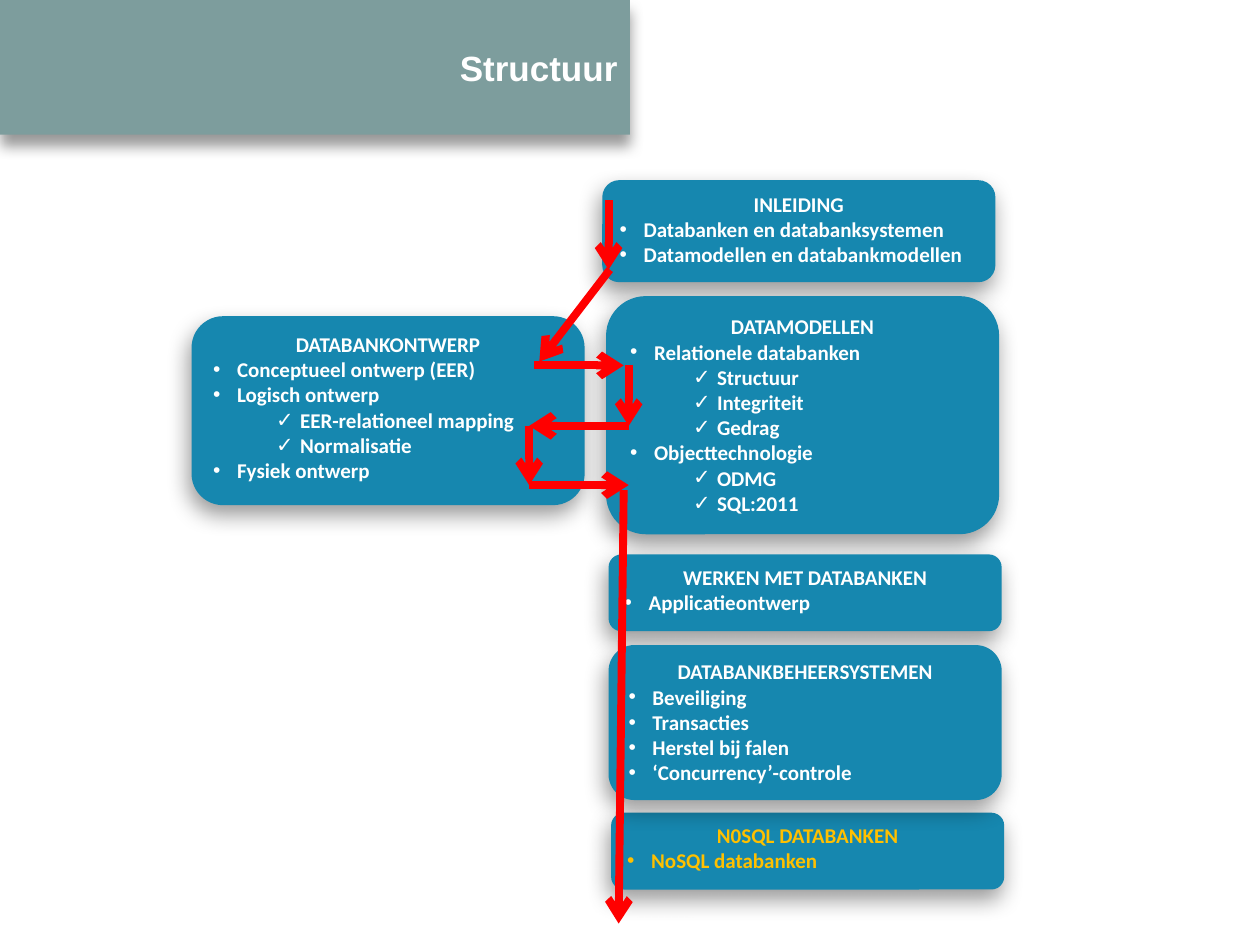
import pptx
import pptx.dml.color
import pptx.enum.shapes
import pptx.enum.text
import pptx.oxml.ns
import pptx.util
from lxml import etree

Inches = pptx.util.Inches
Pt = pptx.util.Pt
qn = pptx.oxml.ns.qn
MSO_SHAPE = pptx.enum.shapes.MSO_SHAPE
ALIGN = pptx.enum.text.PP_ALIGN
ANCHOR = pptx.enum.text.MSO_ANCHOR

COLORS = {
    "banner": "7D9D9D",
    "topic": "1687AF",
    "text": "FFFFFF",
    "current": "FFC000",
    "route": "FF0000",
    "shadow": "000000",
}
BULLETS = ("•", "✓")
TOPIC_WIDTH = 3.12

# Each topic: left, top, height, colour, heading, items as (level, text)
TOPICS = [
    (4.85, 6.45, 0.61, "current", "N0SQL DATABANKEN", [(0, "NoSQL databanken")]),
    (4.78, 1.43, 0.81, "text", "INLEIDING", [
        (0, "Databanken en databanksystemen"),
        (0, "Datamodellen en databankmodellen"),
    ]),
    (1.52, 2.51, 1.5, "text", "DATABANKONTWERP", [
        (0, "Conceptueel ontwerp (EER)"),
        (0, "Logisch ontwerp"),
        (1, "EER-relationeel mapping"),
        (1, "Normalisatie"),
        (0, "Fysiek ontwerp"),
    ]),
    (4.81, 2.35, 1.89, "text", "DATAMODELLEN", [
        (0, "Relationele databanken"),
        (1, "Structuur"),
        (1, "Integriteit"),
        (1, "Gedrag"),
        (0, "Objecttechnologie"),
        (1, "ODMG"),
        (1, "SQL:2011"),
    ]),
    (4.83, 4.4, 0.61, "text", "WERKEN MET DATABANKEN", [(0, "Applicatieontwerp")]),
    (4.83, 5.12, 1.23, "text", "DATABANKBEHEERSYSTEMEN", [
        (0, "Beveiliging"),
        (0, "Transacties"),
        (0, "Herstel bij falen"),
        (0, "‘Concurrency’-controle"),
    ]),
]

# Each arrow: start point, end point
ROUTE = [
    ((4.84, 2.14), (4.28, 2.87)),
    ((4.24, 2.9), (4.95, 2.9)),
    ((4.99, 3.38), (4.2, 3.38)),
    ((4.2, 3.85), (4.99, 3.85)),
    ((4.99, 2.9), (4.99, 3.38)),
    ((4.2, 3.38), (4.2, 3.85)),
    ((4.95, 3.89), (4.91, 7.33)),
    ((4.83, 1.59), (4.83, 2.14)),
]


def rgb(name):
    return pptx.dml.color.RGBColor.from_string(COLORS[name])


def add_shadow(shape, blur, distance, angle):
    shape.shadow.inherit = False
    effects = shape._element.spPr.find(qn("a:effectLst"))
    shadow = etree.SubElement(
        effects, qn("a:outerShdw"), blurRad=str(Pt(blur)), dist=str(Pt(distance)),
        dir=str(angle * 60000), algn="ctr", rotWithShape="0")
    color = etree.SubElement(shadow, qn("a:srgbClr"), val=COLORS["shadow"])
    etree.SubElement(color, qn("a:alpha"), val="40000")


def add_panel(slide, kind, box, fill, anchor):
    """Add a filled, borderless shape that holds wrapped text."""
    panel = slide.shapes.add_shape(kind, *map(Inches, box))
    panel.fill.solid()
    panel.fill.fore_color.rgb = rgb(fill)
    panel.line.fill.background()
    panel.text_frame.word_wrap = True
    panel.text_frame.vertical_anchor = anchor
    return panel


def write(paragraph, text, size=12, font="Calibri", color="text",
          align=ALIGN.LEFT, level=None):
    """Fill a paragraph; a level makes it a bulleted item."""
    paragraph.alignment = align
    if level is not None:
        paragraph.level = level
        properties = paragraph._p.get_or_add_pPr()
        properties.set("marL", str(Inches(0.19 + 0.5 * level)))
        properties.set("indent", str(Inches(-0.19)))
        etree.SubElement(properties, qn("a:buFont"), typeface="Arial")
        etree.SubElement(properties, qn("a:buChar"), char=BULLETS[level])
    run = paragraph.add_run()
    run.text = text
    run.font.size = Pt(size)
    run.font.name = font
    run.font.bold = True
    run.font.color.rgb = rgb(color)


def add_title(slide, box, text):
    banner = add_panel(slide, MSO_SHAPE.RECTANGLE, box, "banner", ANCHOR.MIDDLE)
    add_shadow(banner, blur=8, distance=6, angle=90)
    write(banner.text_frame.paragraphs[0], text, size=20, font="Arial",
          align=ALIGN.RIGHT)


def add_topic(slide, box, color, heading, items):
    topic = add_panel(slide, MSO_SHAPE.ROUNDED_RECTANGLE, box, "topic", ANCHOR.TOP)
    add_shadow(topic, blur=13, distance=6, angle=106)
    frame = topic.text_frame
    write(frame.paragraphs[0], heading, color=color, align=ALIGN.CENTER)
    for level, item in items:
        write(frame.add_paragraph(), item, color=color, level=level)


def add_arrow(slide, start, end):
    arrow = slide.shapes.add_connector(
        pptx.enum.shapes.MSO_CONNECTOR.STRAIGHT, *map(Inches, start + end))
    arrow.line.color.rgb = rgb("route")
    arrow.line.width = Pt(4.5)
    etree.SubElement(arrow.line._get_or_add_ln(), qn("a:tailEnd"), type="arrow")
    etree.SubElement(arrow._element.spPr, qn("a:effectLst"))


def main():
    deck = pptx.Presentation()
    deck.slide_width, deck.slide_height = Inches(10), Inches(7.5)
    slide = deck.slides.add_slide(deck.slide_layouts[6])
    add_title(slide, (0, 0, 5, 1.07), "Structuur")
    for left, top, height, color, heading, items in TOPICS:
        add_topic(slide, (left, top, TOPIC_WIDTH, height), color, heading, items)
    for start, end in ROUTE:
        add_arrow(slide, start, end)
    deck.save("out.pptx")


if __name__ == "__main__":
    main()
